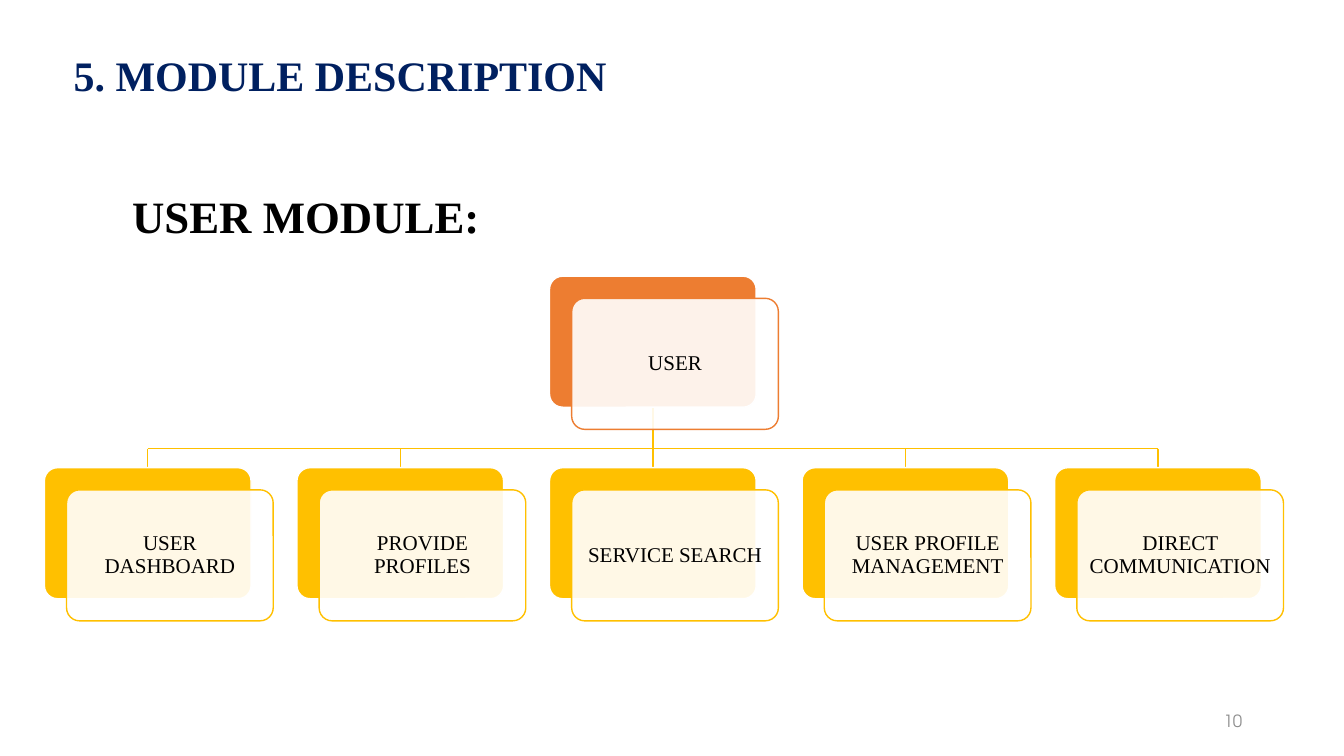
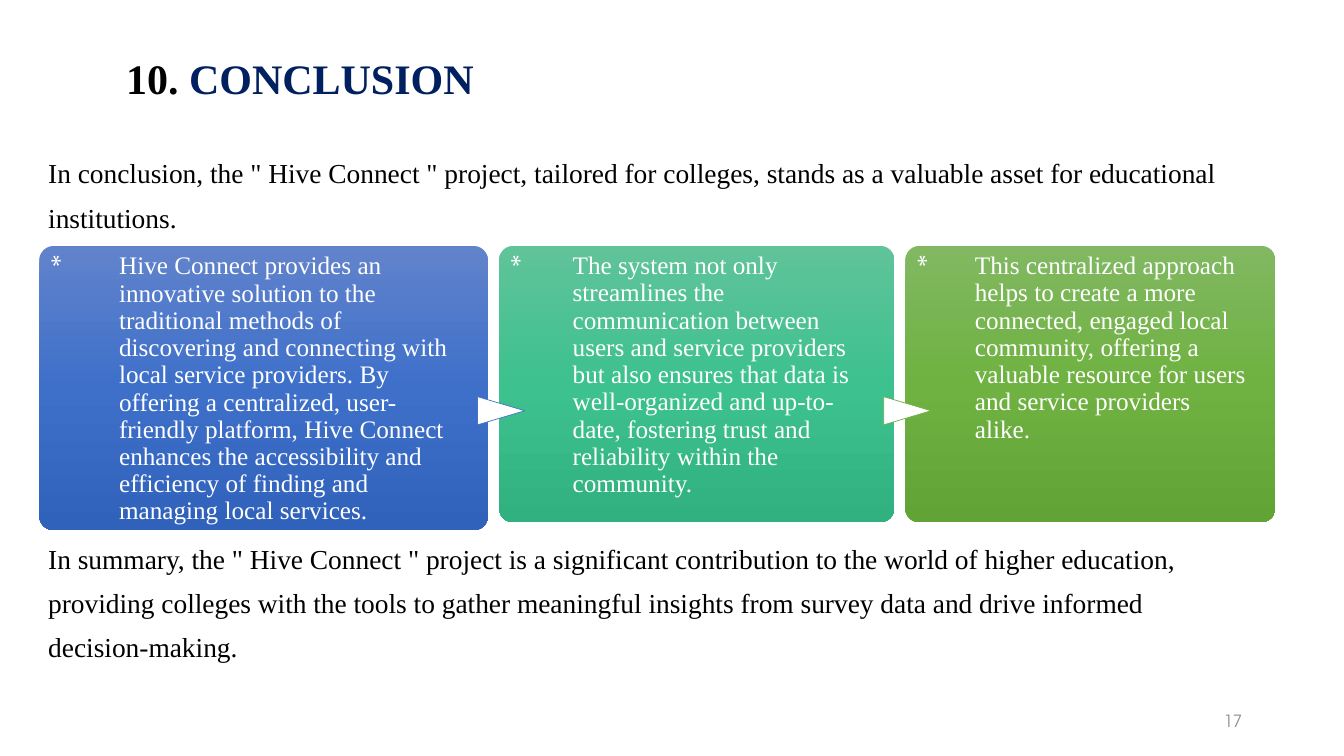
import copy
import dataclasses

import pptx
import pptx.dml.color
import pptx.enum.shapes
import pptx.enum.text
import pptx.oxml
import pptx.oxml.ns
import pptx.util

Inches = pptx.util.Inches
Pt = pptx.util.Pt
rgb = pptx.dml.color.RGBColor.from_string
qn = pptx.oxml.ns.qn
Align = pptx.enum.text.PP_ALIGN
Anchor = pptx.enum.text.MSO_ANCHOR
Preset = pptx.enum.shapes.MSO_SHAPE


@dataclasses.dataclass(frozen=True)
class Theme:
    font: str = "Times New Roman"
    number_font: str = "TeX Gyre Adventor"
    black: str = "000000"
    white: str = "FFFFFF"
    navy: str = "002060"
    grey: str = "8C8C8C"
    orange: str = "ED7D31"
    gold: str = "FFC000"
    title_size: float = 30
    heading_size: float = 32
    body_size: float = 19.6
    panel_size: float = 18
    node_size: float = 15
    number_size: float = 12


theme = Theme()


def write(box, runs, size, color=theme.black, align=Align.LEFT, anchor=Anchor.TOP,
          margins=(0.1, 0.05, 0.1, 0.05), spacing=1.0, bold=False, font=theme.font):
    """Fill box with one paragraph; runs are (text, own colour or None) pairs."""
    frame = box.text_frame
    frame.word_wrap = True
    frame.auto_size = pptx.enum.text.MSO_AUTO_SIZE.NONE
    frame.vertical_anchor = anchor
    (frame.margin_left, frame.margin_top,
     frame.margin_right, frame.margin_bottom) = map(Inches, margins)
    para = frame.paragraphs[0]
    para.alignment = align
    para.line_spacing = spacing
    para.font.name = font
    para.font.size = Pt(size)
    para.font.bold = bold
    para.font.color.rgb = rgb(color)
    for text, run_color in runs:
        span = para.add_run()
        span.text = text
        if run_color:
            span.font.color.rgb = rgb(run_color)


def add_shape(page, preset, left, top, width, height, fill=None, line=None, weight=1.0):
    shape = page.shapes.add_shape(
        preset, Inches(left), Inches(top), Inches(width), Inches(height))
    shape.shadow.inherit = False
    if fill:
        shape.fill.solid()
        shape.fill.fore_color.rgb = rgb(fill)
    if line:
        shape.line.color.rgb = rgb(line)
        shape.line.width = Pt(weight)
    else:
        shape.line.fill.background()
    return shape


deck = pptx.Presentation()
deck.slide_width = Inches(13.33)
deck.slide_height = Inches(7.5)

# Titles and page numbers
pages = []
for title_runs, left, top, height, indent, number in [
    ([("5. MODULE DESCRIPTION", theme.navy)], 0.21, 0.29, 0.96, 0.52, "10"),
    ([("10. ", None), ("CONCLUSION", theme.navy)], 0.15, 0.34, 0.92, 1.1, "17"),
]:
    page = deck.slides.add_slide(deck.slide_layouts[5])
    title = page.shapes.title
    title.left, title.top = Inches(left), Inches(top)
    title.width, title.height = Inches(6.2), Inches(height)
    write(title, title_runs, theme.title_size, anchor=Anchor.MIDDLE,
          margins=(indent, 0.05, 0.1, 0.05), spacing=0.9, bold=True)
    number_box = page.shapes.add_textbox(Inches(9.42), Inches(6.95), Inches(3), Inches(0.4))
    write(number_box, [(number, None)], theme.number_size, theme.grey, Align.RIGHT,
          Anchor.MIDDLE, font=theme.number_font)
    pages.append(page)
module_page, conclusion_page = pages

# User module tree
heading = module_page.shapes.add_textbox(Inches(0.21), Inches(1.56), Inches(12.53), Inches(0.95))
write(heading, [("USER MODULE:", None)], theme.heading_size,
      margins=(1.1, 0.05, 0.1, 0.05), spacing=1.5, bold=True)

node_width, node_height = 2.05, 1.3
card_offset = 0.22
node_left, node_pitch = 0.44, 2.505
root_top, child_top, bar_y = 2.74, 4.64, 4.45
children = ["USER DASHBOARD", "PROVIDE PROFILES", "SERVICE SEARCH",
            "USER PROFILE MANAGEMENT", "DIRECT COMMUNICATION"]
child_lefts = [node_left + node_pitch * index for index in range(len(children))]
centers = [left + node_width / 2 for left in child_lefts]
root_left, root_center = child_lefts[2], centers[2]

branches = [(root_center, root_top + node_height, root_center, bar_y),
            (centers[0], bar_y, centers[-1], bar_y)]
branches += [(center, bar_y, center, child_top) for center in centers]
for ends in branches:
    branch = module_page.shapes.add_connector(
        pptx.enum.shapes.MSO_CONNECTOR.STRAIGHT, *map(Inches, ends))
    branch.line.color.rgb = rgb(theme.gold)
    branch.line.width = Pt(1)
    branch._element.spPr.append(pptx.oxml.parse_xml(
        f'<a:effectLst {pptx.oxml.ns.nsdecls("a")}/>'))

nodes = [("USER", root_left, root_top, theme.orange)]
nodes += [(text, left, child_top, theme.gold) for text, left in zip(children, child_lefts)]
for text, left, top, color in nodes:
    back = add_shape(module_page, Preset.ROUNDED_RECTANGLE, left, top,
                     node_width, node_height, color, theme.white)
    card = add_shape(module_page, Preset.ROUNDED_RECTANGLE, left + card_offset,
                     top + card_offset, node_width, node_height, theme.white, color)
    back.adjustments[0] = card.adjustments[0] = 0.1
    card_color = card._element.spPr.find(qn("a:solidFill")).find(qn("a:srgbClr"))
    card_color.append(pptx.oxml.parse_xml(
        f'<a:alpha {pptx.oxml.ns.nsdecls("a")} val="90000"/>'))
    write(card, [(text, None)], theme.node_size, align=Align.CENTER,
          anchor=Anchor.MIDDLE, margins=(0.06,) * 4, spacing=0.9)

# Conclusion
for text, top, height in [
    ('In conclusion, the " Hive Connect " project, tailored for colleges, stands as a '
     "valuable asset for educational institutions.", 1.39, 1.0),
    ('In summary, the " Hive Connect " project is a significant contribution to the world '
     "of higher education, providing colleges with the tools to gather meaningful insights "
     "from survey data and drive informed decision-making.", 5.21, 1.4),
]:
    box = conclusion_page.shapes.add_textbox(
        Inches(0.38), Inches(top), Inches(11.9), Inches(height))
    write(box, [(text, None)], theme.body_size, spacing=1.35)

panels = [
    ("Hive Connect provides an innovative solution to the traditional methods of discovering "
     "and connecting with local service providers. By offering a centralized, user-friendly "
     "platform, Hive Connect enhances the accessibility and efficiency of finding and "
     "managing local services.",
     4.45, 2.82, 0.79, ("6183CB", "3E70CA", "3062BB"), "4472C4"),
    ("The system not only streamlines the communication between users and service providers "
     "but also ensures that data is well-organized and up-to-date, fostering trust and "
     "reliability within the community.",
     3.92, 2.74, 0.73, ("60C39A", "3DC18F", "31B080"), "70AD47"),
    ("This centralized approach helps to create a more connected, engaged local community, "
     "offering a valuable resource for users and service providers alike.",
     3.67, 2.74, 0.69, ("81B861", "6FB242", "62A336"), None),
]
panel_left, panel_top, panel_gap = 0.39, 2.44, 0.11
corner_inset = 0.04
arrow_width, arrow_height = 0.28, 0.47
arrows = []
for text, width, height, indent, colors, arrow_color in panels:
    panel = add_shape(conclusion_page, Preset.ROUNDED_RECTANGLE,
                      panel_left, panel_top, width, height)
    panel.adjustments[0] = 0.05
    panel.fill.gradient()
    panel.fill.gradient_angle = 270
    stop_list = panel._element.spPr.find(qn("a:gradFill")).find(qn("a:gsLst"))
    stop_list.insert(1, copy.deepcopy(stop_list[0]))
    for stop, position, color in zip(panel.fill.gradient_stops, (0, 0.5, 1), colors):
        stop.position = position
        stop.color.rgb = rgb(color)
    right_margin = 0.255 * width - indent - corner_inset
    write(panel, [(text, None)], theme.panel_size, theme.white,
          margins=(indent - corner_inset, 0.03, right_margin, 0), spacing=0.9)

    # The star strip is turned, so its width runs down the panel
    strip_length, strip_depth = 0.82 * height, 0.2 * width
    star = conclusion_page.shapes.add_textbox(
        Inches(panel_left + (strip_depth - strip_length) / 2),
        Inches(panel_top + (strip_length - strip_depth) / 2),
        Inches(strip_length), Inches(strip_depth))
    star.rotation = 270
    write(star, [("*", None)], theme.panel_size, theme.white, Align.RIGHT,
          margins=(0, 0.07, 0.09, 0), spacing=0.9)
    panel_left += width + panel_gap
    if arrow_color:
        arrows.append((panel_left - 0.12, arrow_color))

for left, color in arrows:
    arrow = add_shape(conclusion_page, Preset.FLOWCHART_EXTRACT, left, 3.84,
                      arrow_width, arrow_height, theme.white, color, 0.5)
    arrow.rotation = 90

deck.save("out.pptx")
